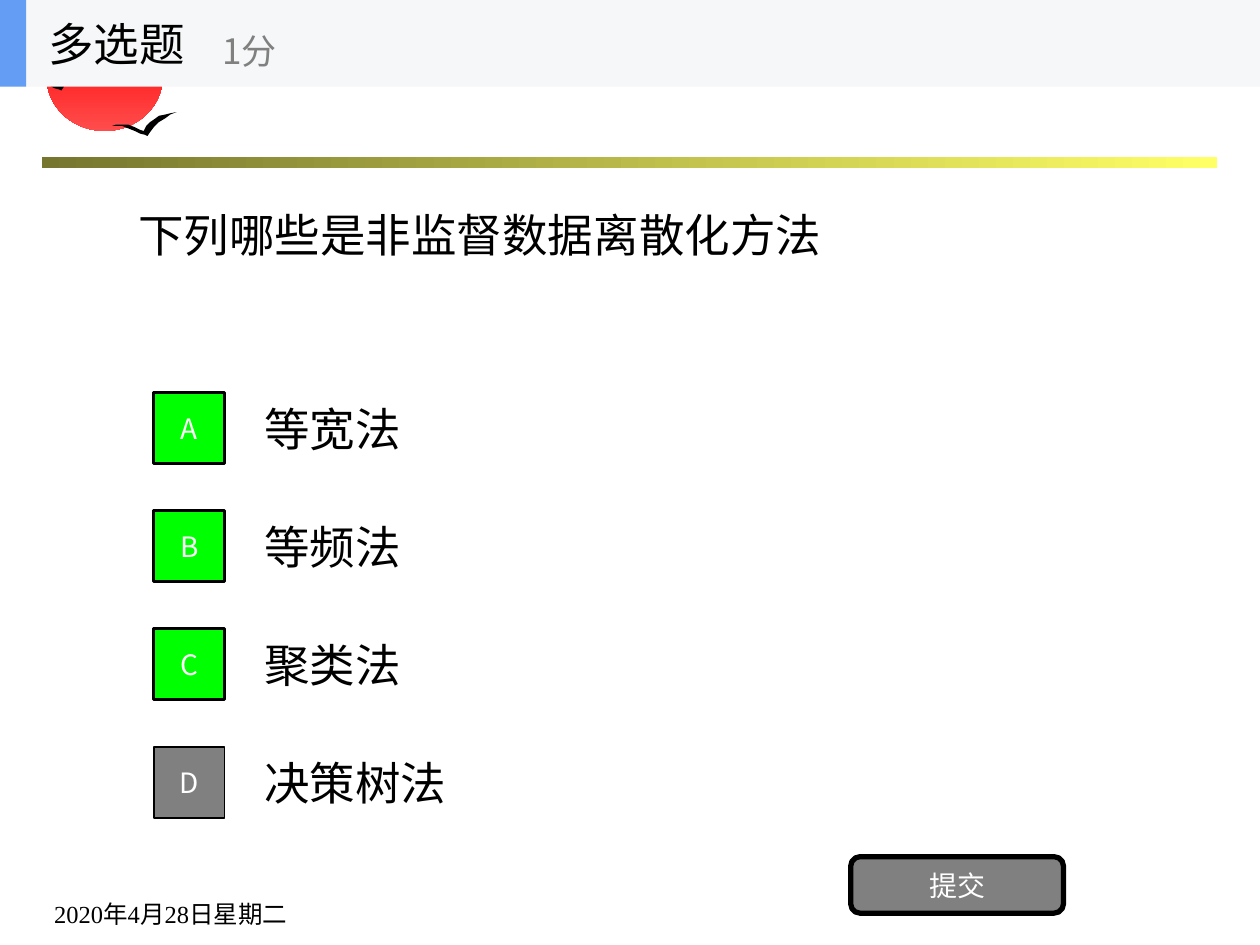
from pptx import Presentation
from pptx.dml.color import RGBColor
from pptx.enum.shapes import MSO_SHAPE
from pptx.enum.text import MSO_ANCHOR, PP_ALIGN
from pptx.oxml.ns import qn
from pptx.util import Cm, Pt
from lxml import etree

RECTANGLE = MSO_SHAPE.RECTANGLE
ROUNDED = MSO_SHAPE.ROUNDED_RECTANGLE
OVAL = MSO_SHAPE.OVAL
MIDDLE = MSO_ANCHOR.MIDDLE
BOTTOM = MSO_ANCHOR.BOTTOM
LEFT = PP_ALIGN.LEFT
CENTER = PP_ALIGN.CENTER

BLACK = RGBColor(0x00, 0x00, 0x00)
WHITE = RGBColor(0xFF, 0xFF, 0xFF)
GRAY = RGBColor(0x80, 0x80, 0x80)
GREEN = RGBColor(0x00, 0xFF, 0x00)
BLUE = RGBColor(0x63, 0x9E, 0xF4)
HEADER_GRAY = RGBColor(0xF6, 0xF7, 0xF8)
OLIVE = RGBColor(0x76, 0x76, 0x2F)
YELLOW = RGBColor(0xFF, 0xFF, 0x66)
RED = RGBColor(0xFF, 0x00, 0x00)
LIGHT_RED = RGBColor(0xFF, 0x4C, 0x4C)

CJK_FONT = "Noto Sans CJK SC"
DATE_FONT = "Times New Roman"

OPTIONS = [("A", "等宽法", True), ("B", "等频法", True),
           ("C", "聚类法", True), ("D", "决策树法", False)]
OPTION_TOP, OPTION_PITCH, OPTION_HEIGHT = 7.74, 2.38, 1.78
BADGE_SIZE = 1.43
HEADER_HEIGHT = 1.75

GULL_WIDTH = 51
GULL_OUTLINE = [
    (0, 11), (3, 10), (8, 10), (13, 10), (18, 12), (22, 14), (25, 15),
    (27, 11), (30, 8), (33, 6), (37, 3), (42, 2), (46, 1), (51, 0),
    (46, 2), (42, 5), (37, 8), (33, 12), (30, 16), (28, 19), (26, 18),
    (22, 17), (18, 15), (13, 13), (8, 11), (3, 11),
]


def write(shape, text, size, color, font=CJK_FONT, align=LEFT, anchor=MIDDLE):
    frame = shape.text_frame
    frame.word_wrap = True
    frame.vertical_anchor = anchor
    frame.text = text
    paragraph = frame.paragraphs[0]
    paragraph.alignment = align
    run = paragraph.runs[0]
    run.font.size = Pt(size)
    run.font.color.rgb = color
    run.font.name = font
    east_asian = etree.SubElement(run.font._element, qn("a:ea"))
    east_asian.set("typeface", CJK_FONT)


def add_label(shapes, box, text, size, color=BLACK, **style):
    label = shapes.add_textbox(*map(Cm, box))
    write(label, text, size, color, **style)


def add_block(shapes, kind, box, fill=None, line_width=0):
    block = shapes.add_shape(kind, *map(Cm, box))
    block.shadow.inherit = False
    if fill is not None:
        block.fill.solid()
        block.fill.fore_color.rgb = fill
    if line_width:
        block.line.color.rgb = BLACK
        block.line.width = Pt(line_width)
    else:
        block.line.fill.background()
    return block


def add_gradient(shapes, kind, box, colors, angle):
    fill = add_block(shapes, kind, box).fill
    fill.gradient()
    fill.gradient_angle = angle
    for stop, position, color in zip(fill.gradient_stops, (0, 1), colors):
        stop.position = position
        stop.color.rgb = color


def add_button(shapes, kind, box, text, fill, line_width):
    button = add_block(shapes, kind, box, fill, line_width)
    write(button, text, 16, WHITE, align=CENTER)


def add_gull(shapes, left, top, width):
    builder = shapes.build_freeform(*GULL_OUTLINE[0], scale=Cm(width) / GULL_WIDTH)
    builder.add_line_segments(GULL_OUTLINE[1:], close=True)
    gull = builder.convert_to_shape(Cm(left), Cm(top))
    gull.shadow.inherit = False
    gull.fill.solid()
    gull.fill.fore_color.rgb = BLACK
    gull.line.fill.background()


def add_scenery(shapes):
    add_gradient(shapes, RECTANGLE, (0.84, 3.17, 23.7, 0.21), (OLIVE, YELLOW), 0)
    add_gradient(shapes, OVAL, (0.94, 0.48, 2.34, 2.16), (RED, LIGHT_RED), 270)
    add_gull(shapes, 0.64, 1.42, 1.09)
    add_gull(shapes, 2.26, 2.26, 1.3)


def add_options(shapes):
    tops = [OPTION_TOP + OPTION_PITCH * row for row in range(len(OPTIONS))]
    for top, (_, answer, _) in zip(tops, OPTIONS):
        add_label(shapes, (5.08, top, 17.78, OPTION_HEIGHT), answer, 26)
    inset = (OPTION_HEIGHT - BADGE_SIZE) / 2
    for top, (letter, _, correct) in zip(tops, OPTIONS):
        badge = (3.1, top + inset, BADGE_SIZE, BADGE_SIZE)
        fill, line_width = (GREEN, 2) if correct else (GRAY, 1)
        add_button(shapes, RECTANGLE, badge, letter, fill, line_width)


def add_header(shapes):
    header = shapes.add_group_shape().shapes
    add_block(header, RECTANGLE, (0, 0, 25.4, HEADER_HEIGHT), HEADER_GRAY)
    add_block(header, RECTANGLE, (0, 0, 0.53, HEADER_HEIGHT), BLUE)
    add_label(header, (0.72, 0, 5.28, HEADER_HEIGHT), "多选题", 26)
    add_label(header, (4.23, 0.31, 6.35, 1.43), "1分", 20, GRAY)


def main():
    presentation = Presentation()
    presentation.slide_width = Cm(25.4)
    presentation.slide_height = Cm(19.05)
    shapes = presentation.slides.add_slide(presentation.slide_layouts[6]).shapes

    add_scenery(shapes)
    add_label(shapes, (0.84, 17.58, 6.99, 1.27), "2020年4月28日星期二", 14,
              font=DATE_FONT, anchor=BOTTOM)
    add_label(shapes, (2.54, 1.75, 20.32, 5.94), "下列哪些是非监督数据离散化方法", 26)
    add_options(shapes)
    add_button(shapes, ROUNDED, (17.15, 17.27, 4.29, 1.14), "提交", GRAY, 3)
    add_header(shapes)

    presentation.save("out.pptx")


if __name__ == "__main__":
    main()
